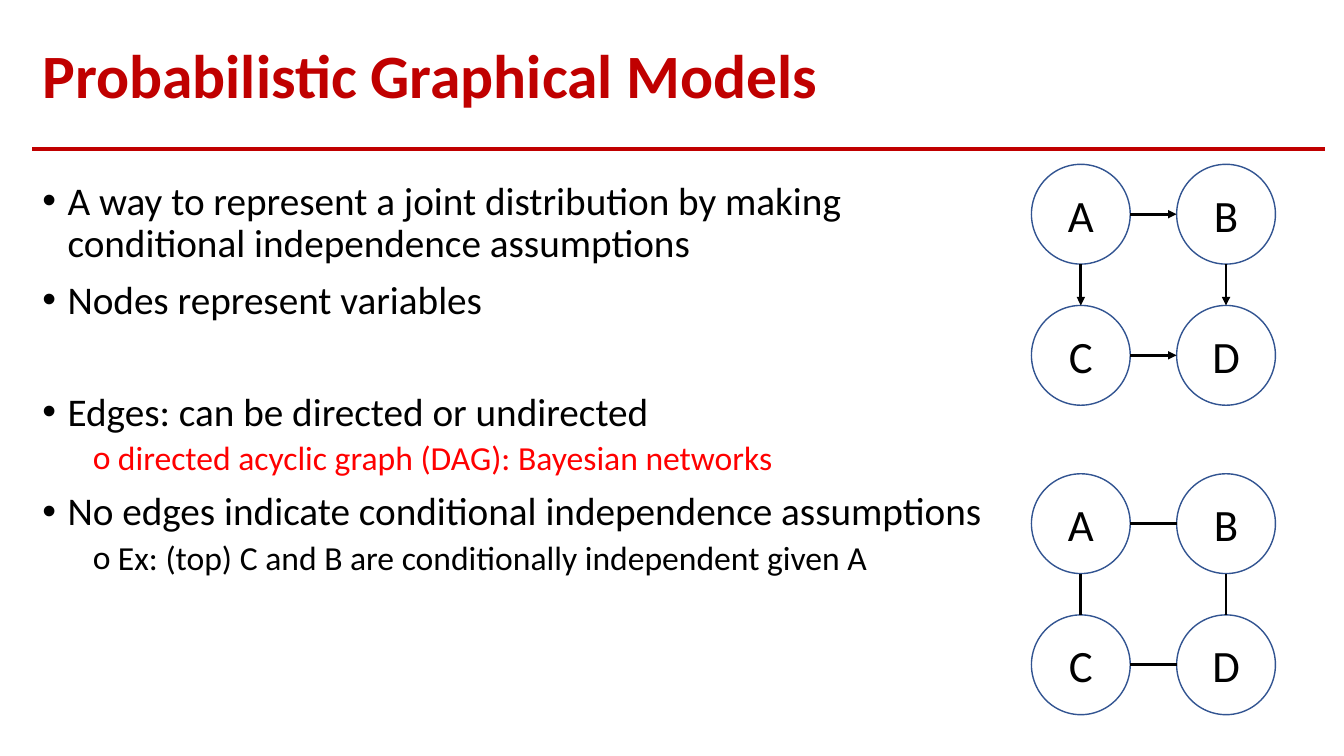
"""Build the slide that introduces probabilistic graphical models."""
from lxml.etree import SubElement
from pptx import Presentation
from pptx.dml.color import RGBColor
from pptx.enum.shapes import MSO_CONNECTOR, MSO_SHAPE
from pptx.enum.text import MSO_ANCHOR, MSO_AUTO_SIZE, PP_ALIGN
from pptx.oxml.ns import qn
from pptx.util import Inches, Pt

CRIMSON = RGBColor(0xC0, 0x00, 0x00)
RED = RGBColor(0xFF, 0x00, 0x00)
BLACK = RGBColor(0x00, 0x00, 0x00)
NAVY = RGBColor(0x32, 0x54, 0x91)

TITLE = "Probabilistic Graphical Models"
POINTS = [
    ("A way to represent a joint distribution by making "
     "conditional independence assumptions", 0, BLACK, 10),
    ("Nodes represent variables", 0, BLACK, 10),
    ("Edges: can be directed or undirected", 0, BLACK, 50),
    ("directed acyclic graph (DAG): Bayesian networks", 1, RED, 5),
    ("No edges indicate conditional independence assumptions", 0, BLACK, 10),
    ("Ex: (top) C and B are conditionally independent given A", 1, BLACK, 5),
]
LEVELS = [
    {"size": 28, "bullet": "•", "typeface": "Arial", "indent": 0.25},
    {"size": 24, "bullet": "o", "typeface": "Calibri", "indent": 0.75},
]
NODES = {"A": (0, 0), "B": (1, 0), "C": (0, 1), "D": (1, 1)}
EDGES = ["AB", "AC", "BD", "CD"]
GRAPHS = [{"top": 1.63, "directed": True}, {"top": 4.7, "directed": False}]

MARGIN, RULE_Y, RIGHT = 0.32, 1.48, 13.14
GRAPH_LEFT, STEP_X, STEP_Y = 10.23, 1.44, 1.4
NODE_WIDTH, NODE_HEIGHT = 0.98, 0.99

TITLE_FRAME = {"vertical_anchor": MSO_ANCHOR.MIDDLE, "word_wrap": True,
               "auto_size": MSO_AUTO_SIZE.NONE}
BODY_FRAME = TITLE_FRAME | {"vertical_anchor": MSO_ANCHOR.TOP}
NODE_FRAME = TITLE_FRAME | {"margin_left": 0, "margin_right": 0}


def apply(target, values):
    """Set each named attribute of the target."""
    for name, value in values.items():
        setattr(target, name, value)


def place(part, left, top, width, height):
    """Move and size a part in inches."""
    apply(part, {"left": Inches(left), "top": Inches(top),
                 "width": Inches(width), "height": Inches(height)})


def write(paragraph, text, size, color, bold=False, **layout):
    """Fill a paragraph with one formatted run."""
    run = paragraph.add_run()
    run.text = text
    apply(run.font, {"name": "Calibri", "size": Pt(size), "bold": bold})
    run.font.color.rgb = color
    apply(paragraph, layout)


def add_bullet(paragraph, bullet, typeface, indent):
    """Give a paragraph a hanging bullet."""
    properties = paragraph._p.get_or_add_pPr()
    properties.set("marL", str(Inches(indent)))
    properties.set("indent", str(Inches(-0.25)))
    SubElement(properties, qn("a:buFont"), typeface=typeface)
    SubElement(properties, qn("a:buChar"), char=bullet)


def add_line(slide, start, end, color, width, arrow=False):
    """Draw a straight line between two points in inches."""
    line = slide.shapes.add_connector(
        MSO_CONNECTOR.STRAIGHT, *map(Inches, (*start, *end)))
    line.line.color.rgb = color
    line.line.width = Pt(width)
    if arrow:
        SubElement(line.line._get_or_add_ln(), qn("a:tailEnd"), type="triangle")
    SubElement(line._element.spPr, qn("a:effectLst"))


def add_graph(slide, top, directed):
    """Draw the four nodes and the edges between them."""
    corners = {name: (GRAPH_LEFT + column * STEP_X, top + row * STEP_Y)
               for name, (column, row) in NODES.items()}
    for name, (left, node_top) in corners.items():
        node = slide.shapes.add_shape(
            MSO_SHAPE.OVAL,
            *map(Inches, (left, node_top, NODE_WIDTH, NODE_HEIGHT)))
        node.shadow.inherit = False
        node.fill.background()
        node.line.color.rgb = NAVY
        node.line.width = Pt(1)
        apply(node.text_frame, NODE_FRAME)
        write(node.text_frame.paragraphs[0], name, 32, BLACK,
              alignment=PP_ALIGN.CENTER)
    for source, target in EDGES:
        (x1, y1), (x2, y2) = corners[source], corners[target]
        if y1 == y2:
            middle = y1 + NODE_HEIGHT / 2
            start, end = (x1 + NODE_WIDTH, middle), (x2, middle)
        else:
            middle = x1 + NODE_WIDTH / 2
            start, end = (middle, y1 + NODE_HEIGHT), (middle, y2)
        add_line(slide, start, end, BLACK, 2, directed)


def main():
    """Build and save the slide."""
    deck = Presentation()
    apply(deck, {"slide_width": Inches(13.33), "slide_height": Inches(7.5)})
    slide = deck.slides.add_slide(deck.slide_layouts[1])
    title, body = slide.placeholders

    add_line(slide, (MARGIN, RULE_Y), (RIGHT, RULE_Y), CRIMSON, 2.5)
    place(title, MARGIN, 0.28, RIGHT - MARGIN, 1)
    apply(title.text_frame, TITLE_FRAME)
    write(title.text_frame.paragraphs[0], TITLE, 44, CRIMSON, bold=True,
          alignment=PP_ALIGN.LEFT, line_spacing=0.9)

    place(body, MARGIN, 1.75, 9.91, 5.33)
    apply(body.text_frame, BODY_FRAME)
    for index, (text, level, color, before) in enumerate(POINTS):
        frame = body.text_frame
        point = frame.add_paragraph() if index else frame.paragraphs[0]
        style = LEVELS[level]
        write(point, text, style["size"], color, level=level,
              line_spacing=0.9, space_before=Pt(before))
        add_bullet(point, style["bullet"], style["typeface"], style["indent"])

    for graph in GRAPHS:
        add_graph(slide, **graph)
    deck.save("out.pptx")


if __name__ == "__main__":
    main()
